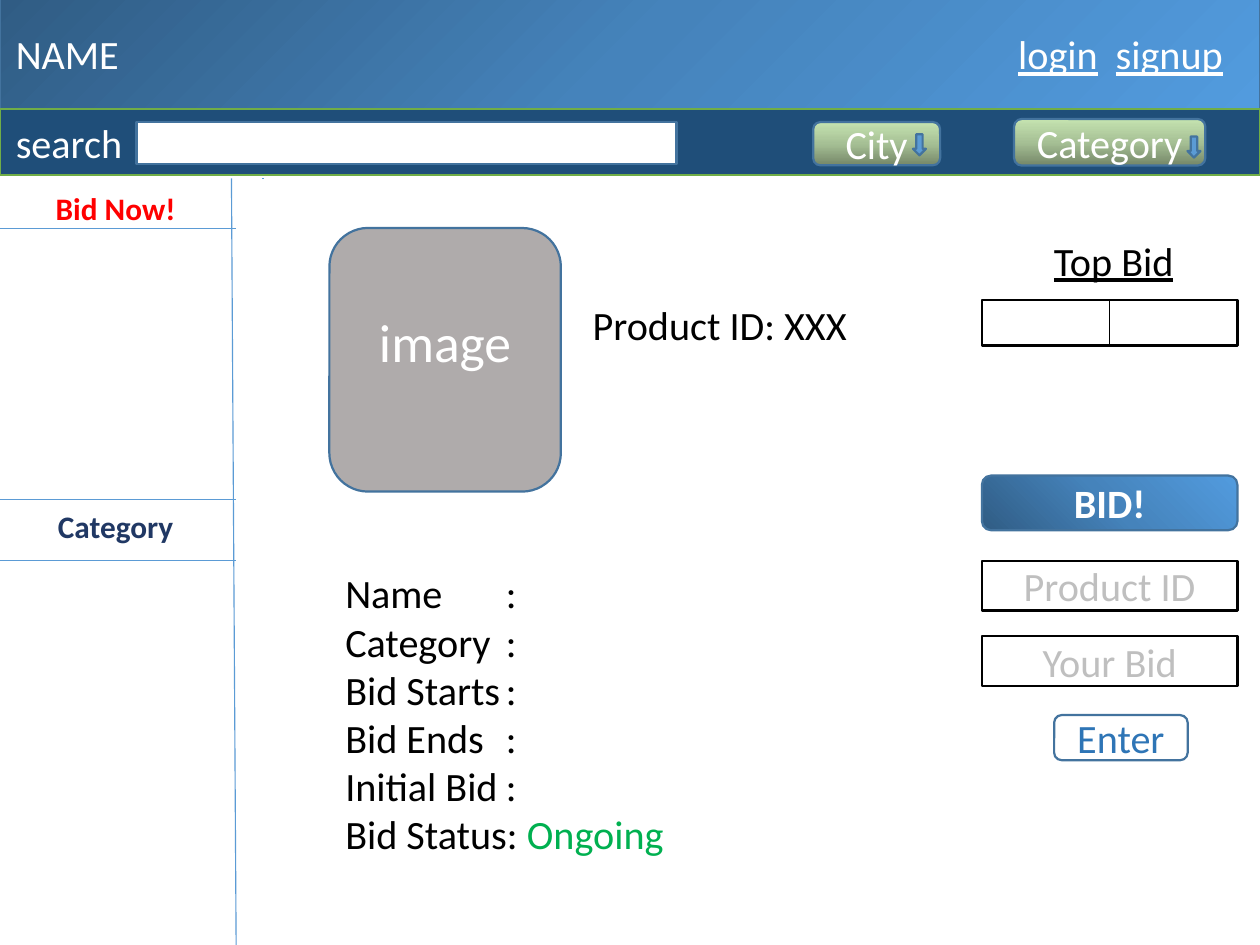
import copy

from lxml import etree
from pptx import Presentation
from pptx import util as u
from pptx.dml.color import RGBColor
from pptx.enum import shapes, text
from pptx.oxml.ns import qn

COLOURS = {
    "white": "FFFFFF", "black": "000000", "outline": "43739E", "blue": "5B9BD5",
    "navy": "1F4E79", "green line": "70AD47", "image grey": "AFABAB",
    "hint": "BFBFBF", "red": "FF0000", "dark blue": "203864",
    "enter blue": "2E75B6", "green": "00B050",
}
BLUE_GRADIENT = ("305C84", "4583BB", "529BDE")
GREEN_GRADIENT = ("758768", "A6C095", "C5E3B0")

WIDTH, HEIGHT = 564.5, 423.4
SIDEBAR = 105.8
PANEL_LEFT, PANEL_WIDTH = 439.9, 114.5

RECT = shapes.MSO_SHAPE.RECTANGLE
ROUNDED = shapes.MSO_SHAPE.ROUNDED_RECTANGLE
ARROW = shapes.MSO_SHAPE.DOWN_ARROW
CENTRE, LEFT = text.PP_ALIGN.CENTER, text.PP_ALIGN.LEFT

NAV_LINKS = [("login", 484.8), ("signup", 540.8)]
MENUS = [  # label, box, left of its arrow, top of its arrow
    ("City", (364.3, 54.7, 56.9, 19.4), 409, 60.2),
    ("Category", (454.3, 53.3, 85.7, 20.9), 532, 61.2),
]
SIDEBAR_HEADINGS = [("Bid Now!", 81.4, "red"), ("Category", 223.9, "dark blue")]
SIDEBAR_RULES = [102.2, 223.9, 251.3]
DETAIL_LABELS = ["Name", "Category", "Bid Starts", "Bid Ends", "Initial Bid"]
STATUS = ("Bid Status: ", "Ongoing")
ENTRY_FIELDS = [("Product ID", 251.3), ("Your Bid", 285.1)]

presentation = Presentation()
presentation.slide_width, presentation.slide_height = u.Pt(WIDTH), u.Pt(HEIGHT)
slide = presentation.slides.add_slide(presentation.slide_layouts[6])


def rgb(name):
    return RGBColor.from_string(COLOURS.get(name, name))


def fill_gradient(shape, stops, angle):
    """Spread the stops evenly; the angle runs counter-clockwise."""
    shape.fill.gradient()
    shape.fill.gradient_angle = angle
    stop_list = shape._element.spPr.find(".//" + qn("a:gsLst"))
    stop_list.insert(1, copy.deepcopy(stop_list[0]))
    for index, (stop, colour) in enumerate(zip(shape.fill.gradient_stops, stops)):
        stop.position = index / (len(stops) - 1)
        stop.color.rgb = rgb(colour)


def format_paragraph(paragraph, align, colour, size=18, bold=False):
    paragraph.alignment = align
    for run in paragraph.runs:
        run.font.name, run.font.size, run.font.bold = "Calibri", u.Pt(size), bold
        run.font.color.rgb = rgb(colour)


def set_tabs(paragraph, stops, align):
    properties = paragraph._p.get_or_add_pPr()
    tab_list = etree.SubElement(properties, qn("a:tabLst"))
    for position in stops:
        etree.SubElement(tab_list, qn("a:tab"), pos=str(u.Pt(position)), algn=align)


def add_box(kind, box, fill=None, line="outline", label="", colour="white",
            size=18, bold=False, align=CENTRE):
    shape = slide.shapes.add_shape(kind, *map(u.Pt, box))
    shape.shadow.inherit = False
    if fill:
        shape.fill.solid()
        shape.fill.fore_color.rgb = rgb(fill)
    shape.line.color.rgb = rgb(line)
    shape.line.width = u.Pt(1)
    if label:
        frame = shape.text_frame
        frame.vertical_anchor = text.MSO_ANCHOR.MIDDLE
        frame.text = label
        format_paragraph(frame.paragraphs[0], align, colour, size, bold)
    return shape


def add_line(x1, y1, x2, y2, colour="blue"):
    line = slide.shapes.add_connector(
        shapes.MSO_CONNECTOR.STRAIGHT, *map(u.Pt, (x1, y1, x2, y2)))
    line.line.color.rgb = rgb(colour)
    line.line.width = u.Pt(0.5)
    etree.SubElement(line._element.spPr, qn("a:effectLst"))


def add_text(box, content, colour="black", size=18, bold=False, align=LEFT, wrap=False):
    frame = slide.shapes.add_textbox(*map(u.Pt, box)).text_frame
    frame.word_wrap = wrap
    frame.auto_size = text.MSO_AUTO_SIZE.SHAPE_TO_FIT_TEXT
    frame.text = content
    for paragraph in frame.paragraphs:
        format_paragraph(paragraph, align, colour, size, bold)
    return frame


# Header and search bar
header = add_box(RECT, (0, -0.7, WIDTH, 49.7), label="NAME", align=LEFT)
fill_gradient(header, BLUE_GRADIENT, 315)
navigation = header.text_frame.paragraphs[0]
set_tabs(navigation, [position for _, position in NAV_LINKS], "r")
for label, _ in NAV_LINKS:
    navigation.add_run().text = "\t"
    link = navigation.add_run()
    link.text = label
    link.font.underline = True
format_paragraph(navigation, LEFT, "white")

add_box(RECT, (0, 49, WIDTH, 29.5), "navy", "green line", "search", align=LEFT)
add_box(RECT, (61.2, 54.7, 241.9, 18.7), "white")
for label, box, arrow_left, arrow_top in MENUS:
    fill_gradient(add_box(ROUNDED, box, label=label), GREEN_GRADIENT, 90)
    add_box(ARROW, (arrow_left, arrow_top, 5.8, 9.4), "blue")

# Sidebar
add_line(117.4, 79.9, 118.1, 79.9)
add_line(103.7, 79.9, SIDEBAR, HEIGHT)
for y in SIDEBAR_RULES:
    add_line(0, y, SIDEBAR, y)
for label, top, colour in SIDEBAR_HEADINGS:
    add_text((0, top, 103.7, 24.5), label, colour, 14, True, CENTRE, True)

# Product
product_image = add_box(ROUNDED, (147.6, 102.2, 103.7, 118.1), "image grey",
                        label="image", size=24)
product_image.text_frame.margin_bottom = u.Pt(20.6)
add_text((258.5, 131, 129.6, 28.8), "Product ID: XXX")

detail_lines = [label + "\t:" for label in DETAIL_LABELS] + [STATUS[0]]
details = add_text((147.6, 251.3, 159.1, 138.2), "\n".join(detail_lines))
for paragraph in details.paragraphs[:-1]:
    set_tabs(paragraph, [72], "l")
status = details.paragraphs[-1].add_run()
status.text = STATUS[1]
status.font.name, status.font.size = "Calibri", u.Pt(18)
status.font.color.rgb = rgb("green")

# Bidding panel
top_bid = add_text((465.1, 102.2, 68.4, 28.8), "Top Bid")
top_bid.paragraphs[0].runs[0].font.underline = True
add_box(RECT, (PANEL_LEFT, 134.6, PANEL_WIDTH, 20.2), "white", "black")
middle = PANEL_LEFT + PANEL_WIDTH / 2
add_line(middle, 134.6, middle, 154.8, "black")
bid_button = add_box(ROUNDED, (PANEL_LEFT, 213.1, PANEL_WIDTH, 24.5),
                     label="BID!", bold=True)
fill_gradient(bid_button, BLUE_GRADIENT, 45)
for label, top in ENTRY_FIELDS:
    add_box(RECT, (PANEL_LEFT, top, PANEL_WIDTH, 22.3), "white", "black", label, "hint")
add_box(ROUNDED, (472.3, 320.4, 59.8, 20.2), "white", label="Enter", colour="enter blue")

presentation.save("out.pptx")
